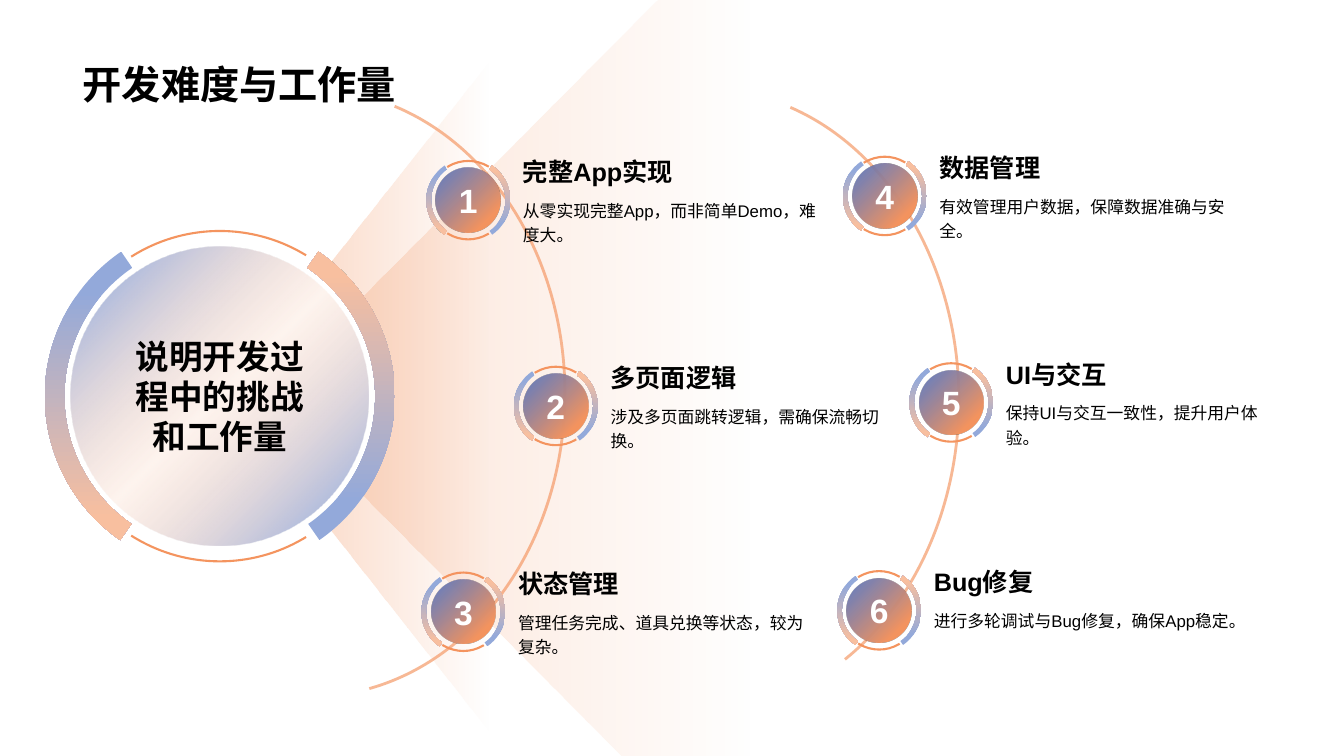
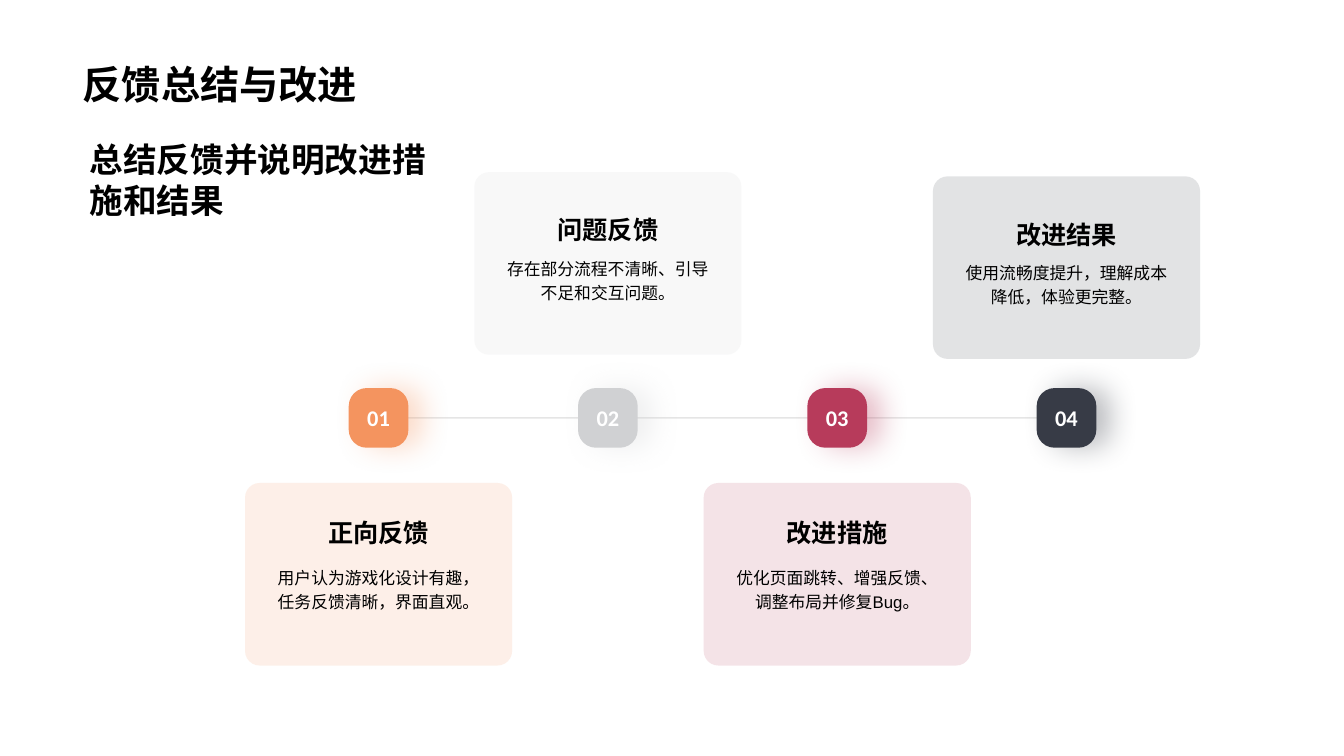
import math
from dataclasses import dataclass

import lxml.etree
import pptx
import pptx.dml.color
import pptx.enum.lang
import pptx.enum.shapes
import pptx.enum.text
import pptx.oxml.ns
import pptx.util

Pt = pptx.util.Pt
qn = pptx.oxml.ns.qn
SHAPE = pptx.enum.shapes.MSO_SHAPE
ALIGN = pptx.enum.text.PP_ALIGN
ANCHOR = pptx.enum.text.MSO_ANCHOR
CHINESE = pptx.enum.lang.MSO_LANGUAGE_ID.SIMPLIFIED_CHINESE


# Theme: colours, fonts and type sizes
@dataclass(frozen=True)
class Theme:
    ink: str = "000000"
    white: str = "FFFFFF"
    orange: str = "F4945F"
    blue: str = "4B70C1"
    pale_orange: str = "F8BF9F"
    pale_blue: str = "93A9DA"
    silver: str = "D0D1D3"
    wine: str = "B73B5B"
    slate: str = "373B46"
    rule: str = "808080"
    font: str = "Arial"
    number_font: str = "Calibri"
    title: int = 28
    lead: int = 24
    heading: int = 18
    step: int = 16
    body: int = 12


THEME = Theme()
HEADING = {"size": THEME.heading, "bold": True}
BODY = {"size": THEME.body, "line_spacing": 1.2}
LEAD = {"size": THEME.lead, "bold": True}


# Formatting helpers
def rgb(color):
    return pptx.dml.color.RGBColor.from_string(color)


def set_attributes(target, formats):
    for name, value in formats.items():
        setattr(target, name, value)


def add_alpha(color_element, percent):
    alpha = lxml.etree.SubElement(color_element, qn("a:alpha"))
    alpha.set("val", str(percent * 1000))


def fill_solid(shape, color, opacity=100):
    shape.fill.solid()
    shape.fill.fore_color.rgb = rgb(color)
    if opacity < 100:
        solid = shape.element.spPr.find(qn("a:solidFill"))
        add_alpha(solid[0], opacity)


def fill_gradient(shape, stops, angle):
    """Stops are (position, colour, opacity), all in percent."""
    shape.fill.gradient()
    gradient = shape.element.spPr.find(qn("a:gradFill"))
    for child in list(gradient):
        gradient.remove(child)
    stop_list = lxml.etree.SubElement(gradient, qn("a:gsLst"))
    for position, color, opacity in stops:
        stop = lxml.etree.SubElement(stop_list, qn("a:gs"))
        stop.set("pos", str(position * 1000))
        swatch = lxml.etree.SubElement(stop, qn("a:srgbClr"))
        swatch.set("val", color)
        add_alpha(swatch, opacity)
    direction = lxml.etree.SubElement(gradient, qn("a:lin"))
    direction.set("ang", str(angle * 60000))
    direction.set("scaled", "0")


def set_line(shape, color, width, opacity=100):
    shape.line.color.rgb = rgb(color)
    shape.line.width = Pt(width)
    if opacity < 100:
        outline = shape.element.spPr.find(qn("a:ln"))
        add_alpha(outline.find(qn("a:solidFill"))[0], opacity)


def add_glow(shape, color):
    effects = shape.element.spPr.find(qn("a:effectLst"))
    shadow = lxml.etree.SubElement(effects, qn("a:outerShdw"))
    for name, value in {"blurRad": Pt(20), "dist": Pt(10), "dir": 0,
                        "algn": "l", "rotWithShape": 0}.items():
        shadow.set(name, str(int(value)) if name != "algn" else value)
    swatch = lxml.etree.SubElement(shadow, qn("a:srgbClr"))
    swatch.set("val", color)
    add_alpha(swatch, 32)


def write(shape, text, size, bold=False, color=THEME.ink, font=THEME.font,
          align=ALIGN.LEFT, anchor=ANCHOR.TOP, line_spacing=1.0,
          insets=(7.2, 3.6)):
    side, edge = insets
    set_attributes(shape.text_frame, {
        "word_wrap": True, "vertical_anchor": anchor,
        "margin_left": Pt(side), "margin_right": Pt(side),
        "margin_top": Pt(edge), "margin_bottom": Pt(edge)})
    paragraph = shape.text_frame.paragraphs[0]
    set_attributes(paragraph, {"alignment": align, "line_spacing": line_spacing})
    run = paragraph.add_run()
    run.text = text
    set_attributes(run.font, {"name": font, "size": Pt(size), "bold": bold,
                              "language_id": CHINESE})
    run.font.color.rgb = rgb(color)


# Element helpers
def add_titled_slide(deck, title):
    slide = deck.slides.add_slide(deck.slide_layouts[5])
    heading = slide.shapes.title
    set_attributes(heading, {"left": Pt(52), "top": Pt(10),
                             "width": Pt(855), "height": Pt(70.5)})
    heading.text_frame.auto_size = pptx.enum.text.MSO_AUTO_SIZE.NONE
    write(heading, title, THEME.title, bold=True, anchor=ANCHOR.BOTTOM)
    return slide


def add_preset(slide, kind, left, top, width, height, adjustments=()):
    shape = slide.shapes.add_shape(kind, Pt(left), Pt(top), Pt(width), Pt(height))
    shape.shadow.inherit = False
    shape.line.fill.background()
    for index, value in enumerate(adjustments):
        shape.adjustments[index] = value
    return shape


def add_round(slide, kind, center, diameter, adjustments=(), flip=None):
    x, y = center
    shape = add_preset(slide, kind, x - diameter / 2, y - diameter / 2,
                       diameter, diameter, adjustments)
    if flip:
        shape.element.spPr.find(qn("a:xfrm")).set(flip, "1")
    return shape


def angles(*degrees):
    return [degree * 0.6 for degree in degrees]


def add_label(slide, text, left, top, width, height, **style):
    box = slide.shapes.add_textbox(Pt(left), Pt(top), Pt(width), Pt(height))
    write(box, text, **style)


def add_orbit(slide, left, top, width, height, start, end):
    orbit = add_preset(slide, SHAPE.ARC, left, top, width, height,
                       angles(start, end))
    orbit.fill.background()
    set_line(orbit, THEME.orange, 2, opacity=65)


def add_beam(slide, outline, center, spread, opacity):
    """Light beam whose inner edge follows the central ring."""
    x, y = center
    steps = [math.radians(spread * (1 - i / 10)) for i in range(21)]
    inner_edge = [(x + 115 * math.cos(a), y + 115 * math.sin(a)) for a in steps]
    points = [(Pt(px), Pt(py)) for px, py in outline[:-1] + inner_edge + outline[-1:]]
    builder = slide.shapes.build_freeform(*points[0])
    builder.add_line_segments(points[1:], close=True)
    beam = builder.convert_to_shape()
    beam.shadow.inherit = False
    beam.line.fill.background()
    fill_gradient(beam, [(0, THEME.orange, opacity), (100, THEME.orange, 0)], 0)


def add_medallion(slide, center, diameters, stops, text, **style):
    ring, thin_ring, disc = diameters
    for flip, angle in ((None, 270), ("flipH", 90)):
        band = add_round(slide, SHAPE.BLOCK_ARC, center, ring,
                         angles(304.3, 55.3) + [0.056], flip)
        fill_gradient(band, [(20, THEME.pale_blue, 100),
                             (85, THEME.pale_orange, 100)], angle)
    for flip in (None, "flipV"):
        arc = add_round(slide, SHAPE.ARC, center, thin_ring,
                        angles(237.6, 301.5), flip)
        arc.fill.background()
        set_line(arc, THEME.orange, 1.5)
    face = add_round(slide, SHAPE.OVAL, center, disc)
    fill_gradient(face, stops, 45)
    write(face, text, align=ALIGN.CENTER, anchor=ANCHOR.MIDDLE, **LEAD, **style)


def add_challenge(slide, number, center, width, heading, detail):
    add_medallion(slide, center, (60, 56, 46),
                  [(0, THEME.blue, 90), (80, THEME.orange, 100)],
                  str(number), color=THEME.white, insets=(0, 0))
    left, middle = center[0] + 32, center[1] - 6
    add_label(slide, heading, left, middle - 54, width, 54,
              anchor=ANCHOR.BOTTOM, **HEADING)
    add_label(slide, detail, left, middle, width, 62, **BODY)


def add_step(slide, number, center, color, card_top, offsets, heading, detail):
    x, y = center
    card = add_preset(slide, SHAPE.ROUNDED_RECTANGLE, x - 95.4, card_top,
                      190.8, 130.4, [0.08])
    fill_solid(card, color, opacity=14)
    marker = add_round(slide, SHAPE.ROUNDED_RECTANGLE, center, 42.6, [0.3])
    fill_solid(marker, color)
    add_glow(marker, color)
    write(marker, f"{number:02d}", THEME.step, bold=True, color=THEME.white,
          font=THEME.number_font, align=ALIGN.CENTER, anchor=ANCHOR.MIDDLE)
    heading_offset, detail_offset = offsets
    add_label(slide, detail, x - 79.2, card_top + detail_offset, 158.4, 71,
              align=ALIGN.CENTER, insets=(7.2, 0), **BODY)
    add_label(slide, heading, x - 79.2, card_top + heading_offset, 158.4, 53.5,
              align=ALIGN.CENTER, anchor=ANCHOR.BOTTOM, **HEADING)


# Slides
def build_challenges(deck):
    slide = add_titled_slide(deck, "开发难度与工作量")
    hub = (157, 283)

    # Orbits and light beams
    add_orbit(slide, 323.5, 64, 361.5, 443.5, 286.1, 61.8)
    add_beam(slide, [(350.5, 42.5), (350.5, 524), (235, 377), (235, 189)],
             hub, 50, 31)
    add_beam(slide, [(470, 0), (542, 0), (542, 540), (444, 540),
                     (250.5, 345), (250.5, 221)], hub, 31, 25)
    add_orbit(slide, 42, 64, 361.5, 433.5, 286.1, 79)

    # Central theme
    add_medallion(slide, hub, (250, 236, 213),
                  [(10, THEME.blue, 50), (50, THEME.orange, 10),
                   (90, THEME.blue, 50)], "说明开发过程中的挑战和工作量")

    # Numbered challenges
    challenges = [
        ((334.5, 143), 230, "完整App实现", "从零实现完整App，而非简单Demo，难度大。"),
        ((397, 290), 212, "多页面逻辑", "涉及多页面跳转逻辑，需确保流畅切换。"),
        ((331, 437), 230, "状态管理", "管理任务完成、道具兑换等状态，较为复杂。"),
        ((632, 140), 230, "数据管理", "有效管理用户数据，保障数据准确与安全。"),
        ((679.5, 287.5), 196, "UI与交互", "保持UI与交互一致性，提升用户体验。"),
        ((628, 436), 230, "Bug修复", "进行多轮调试与Bug修复，确保App稳定。"),
    ]
    for number, challenge in enumerate(challenges, 1):
        add_challenge(slide, number, *challenge)


def build_feedback(deck):
    slide = add_titled_slide(deck, "反馈总结与改进")
    add_label(slide, "总结反馈并说明改进措施和结果", 57, 96, 260.6, 118, **LEAD)

    # Timeline
    first_x, pitch, axis = 270.4, 163.8, 298.5
    timeline = slide.shapes.add_connector(
        pptx.enum.shapes.MSO_CONNECTOR.STRAIGHT,
        Pt(first_x), Pt(axis), Pt(first_x + 3 * pitch), Pt(axis))
    set_line(timeline, THEME.rule, 1, opacity=20)
    lxml.etree.SubElement(timeline.element.spPr, qn("a:effectLst"))

    # Steps, alternately below and above the line
    below, above = (-4, 57.5), (2, 59)
    steps = [
        (THEME.orange, 345, below, "正向反馈", "用户认为游戏化设计有趣，任务反馈清晰，界面直观。"),
        (THEME.silver, 123, above, "问题反馈", "存在部分流程不清晰、引导不足和交互问题。"),
        (THEME.wine, 345, below, "改进措施", "优化页面跳转、增强反馈、调整布局并修复Bug。"),
        (THEME.slate, 126, above, "改进结果", "使用流畅度提升，理解成本降低，体验更完整。"),
    ]
    for index, step in enumerate(steps):
        add_step(slide, index + 1, (first_x + index * pitch, axis), *step)


def main():
    deck = pptx.Presentation()
    set_attributes(deck, {"slide_width": Pt(960), "slide_height": Pt(540)})
    build_challenges(deck)
    build_feedback(deck)
    deck.save("out.pptx")


if __name__ == "__main__":
    main()
